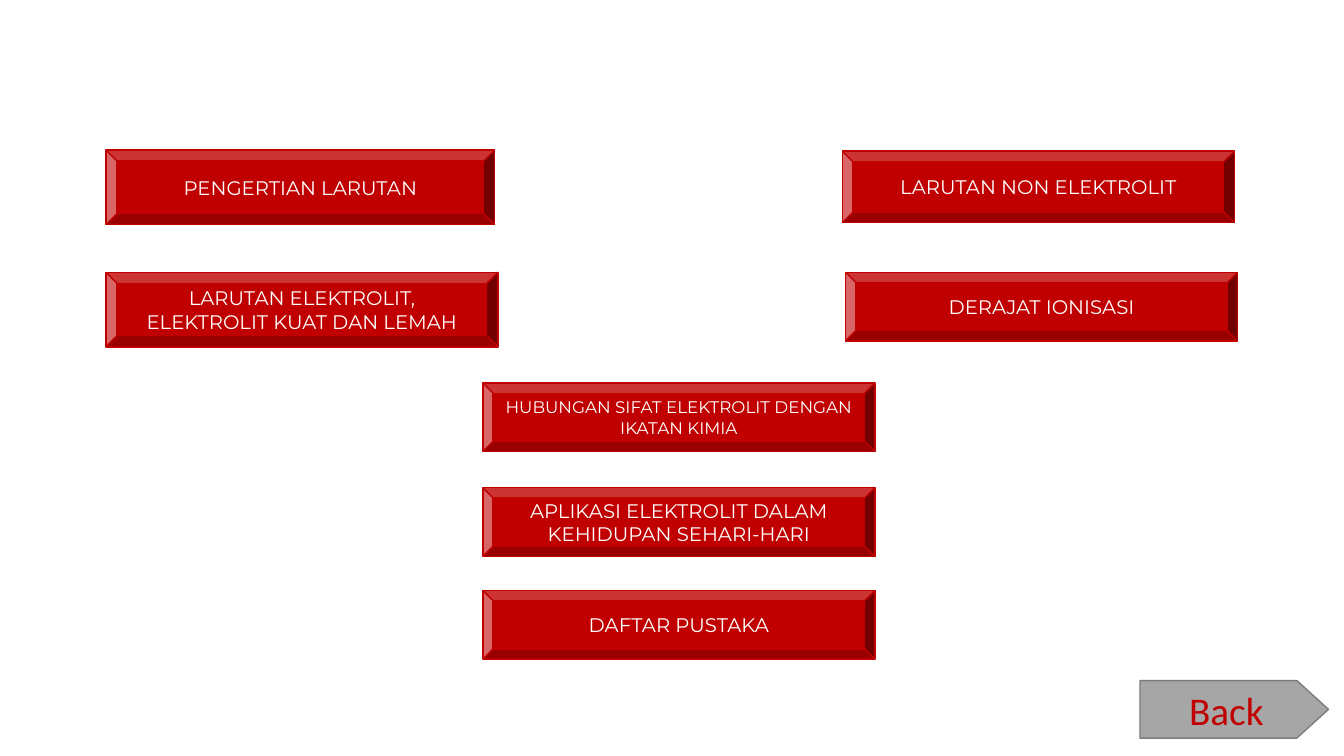
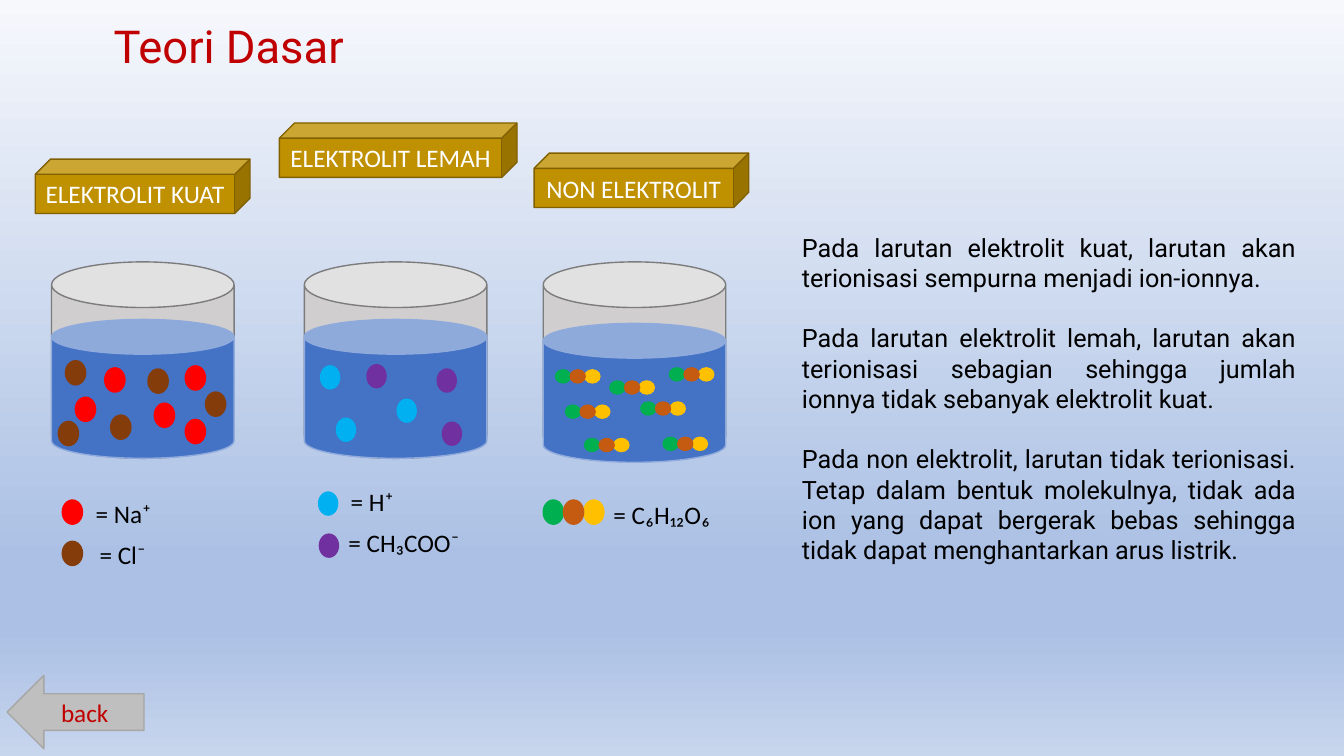
import copy

import pptx
import pptx.dml.color
import pptx.enum.shapes
import pptx.enum.text
import pptx.oxml.ns
import pptx.util

# Colours
RED = pptx.dml.color.RGBColor(0xC0, 0x00, 0x00)
WHITE = pptx.dml.color.RGBColor(0xFF, 0xFF, 0xFF)
BLACK = pptx.dml.color.RGBColor(0x00, 0x00, 0x00)
DARK = pptx.dml.color.RGBColor(0x7C, 0x7C, 0x7C)
GREY = pptx.dml.color.RGBColor(0xA6, 0xA6, 0xA6)
SILVER = pptx.dml.color.RGBColor(0xBF, 0xBF, 0xBF)
GLASS = pptx.dml.color.RGBColor(0xD0, 0xCE, 0xCE)
WATER = pptx.dml.color.RGBColor(0x44, 0x72, 0xC4)
RIM = pptx.dml.color.RGBColor(0x8F, 0xAA, 0xDC)
GOLD = pptx.dml.color.RGBColor(0xBF, 0x90, 0x00)
BRONZE = pptx.dml.color.RGBColor(0x80, 0x60, 0x00)
SCARLET = pptx.dml.color.RGBColor(0xFF, 0x00, 0x00)
BROWN = pptx.dml.color.RGBColor(0x84, 0x3C, 0x0B)
CYAN = pptx.dml.color.RGBColor(0x00, 0xB0, 0xF0)
PURPLE = pptx.dml.color.RGBColor(0x70, 0x30, 0xA0)
GREEN = pptx.dml.color.RGBColor(0x00, 0xB0, 0x50)
YELLOW = pptx.dml.color.RGBColor(0xFF, 0xC0, 0x00)
ORANGE = pptx.dml.color.RGBColor(0xC5, 0x5A, 0x11)
SKY = [
    (0, pptx.dml.color.RGBColor(0xF6, 0xF8, 0xFC)),
    (0.74, pptx.dml.color.RGBColor(0xAB, 0xC0, 0xE4)),
    (0.83, pptx.dml.color.RGBColor(0xAB, 0xC0, 0xE4)),
    (1, pptx.dml.color.RGBColor(0xC7, 0xD5, 0xED)),
]

# Fonts and alignment
SANS, HEAD, MENU = "Calibri", "Roboto", "Montserrat"
LEFT = pptx.enum.text.PP_ALIGN.LEFT
MID = pptx.enum.text.PP_ALIGN.CENTER
FULL = pptx.enum.text.PP_ALIGN.JUSTIFY


def draw(shapes, kind, box, fill, line, adjust=None):
    """Add a filled preset shape; box is left, top, width, height in cm."""
    shape = shapes.add_shape(kind, *[pptx.util.Cm(v) for v in box])
    shape.shadow.inherit = False
    shape.fill.solid()
    shape.fill.fore_color.rgb = fill
    shape.line.color.rgb = line
    shape.line.width = pptx.util.Pt(1)
    if adjust is not None:
        shape.adjustments[0] = adjust
    return shape


def write(shape, text, font, size, color, align=MID):
    """Fill a shape or text box with wrapped text in one style."""
    frame = shape.text_frame
    frame.word_wrap = True
    frame.text = text
    for para in frame.paragraphs:
        para.alignment = align
        for run in para.runs:
            run.font.name = font
            run.font.size = pptx.util.Pt(size)
            run.font.color.rgb = color
    return frame


deck = pptx.Presentation()
deck.slide_width = pptx.util.Cm(33.87)
deck.slide_height = pptx.util.Cm(19.05)
blank = deck.slide_layouts[6]

# Slide 1: menu buttons
shapes = deck.slides.add_slide(blank).shapes
kind = pptx.enum.shapes.MSO_SHAPE.BEVEL
for text, box, size in [
    ("PENGERTIAN LARUTAN", (2.67, 3.78, 9.8, 1.88), 14),
    ("LARUTAN ELEKTROLIT, ELEKTROLIT KUAT DAN LEMAH", (2.67, 6.86, 9.88, 1.88), 14),
    ("LARUTAN NON ELEKTROLIT", (21.23, 3.81, 9.88, 1.8), 14),
    ("DERAJAT IONISASI", (21.31, 6.86, 9.88, 1.73), 14),
    ("HUBUNGAN SIFAT ELEKTROLIT DENGAN IKATAN KIMIA", (12.17, 9.65, 9.88, 1.73), 12),
    ("APLIKASI ELEKTROLIT DALAM KEHIDUPAN SEHARI-HARI", (12.17, 12.29, 9.88, 1.73), 14),
    ("DAFTAR PUSTAKA", (12.17, 14.88, 9.88, 1.73), 14),
]:
    write(draw(shapes, kind, box, RED, RED, 0.15), text, MENU, size, WHITE)

kind = pptx.enum.shapes.MSO_SHAPE.PENTAGON
back = draw(shapes, kind, (28.73, 17.15, 4.75, 1.45), GREY, DARK, 0.55)
write(back, "Back", SANS, 28, RED)

# Slide 2: background
slide = deck.slides.add_slide(blank)
shapes = slide.shapes
fill = slide.background.fill
fill.gradient()
fill.gradient_angle = 270
stops = slide.element.find(".//" + pptx.oxml.ns.qn("a:gsLst"))
for _ in range(len(SKY) - len(stops)):
    stops.append(copy.deepcopy(stops[0]))
for stop, (place, color) in zip(fill.gradient_stops, SKY):
    stop.position = place
    stop.color.rgb = color

# Title
title = shapes.add_textbox(*[pptx.util.Cm(v) for v in (1.42, 0.3, 8.69, 1.7)])
write(title, "Teori Dasar", HEAD, 32.4, RED)
title.text_frame.vertical_anchor = pptx.enum.text.MSO_ANCHOR.MIDDLE

# Beakers with their signs
can = pptx.enum.shapes.MSO_SHAPE.CAN
cube = pptx.enum.shapes.MSO_SHAPE.CUBE
for text, sign, left, level in [
    ("ELEKTROLIT KUAT", (0.89, 4.01, 5.41, 1.37), 1.3, 8.05),
    ("ELEKTROLIT LEMAH", (7.04, 3.1, 5.99, 1.37), 7.67, 8.05),
    ("NON ELEKTROLIT", (13.46, 3.86, 5.41, 1.37), 13.69, 8.15),
]:
    draw(shapes, can, (left, 6.6, 4.6, 4.95), GLASS, DARK)
    draw(shapes, can, (left, level, 4.6, 3.5), WATER, RIM)
    frame = write(draw(shapes, cube, sign, GOLD, BRONZE, 0.28), text, SANS, 18, WHITE)
    frame.margin_left = frame.margin_right = 0

# Ions: the first spot of each is its legend key
dot = pptx.enum.shapes.MSO_SHAPE.FLOWCHART_CONNECTOR
for color, wide, high, spots in [
    (SCARLET, 0.51, 0.61, [(1.57, 12.6), (1.9, 10.01), (4.67, 10.57),
                           (4.67, 9.22), (3.89, 10.16), (2.64, 9.27)]),
    (BROWN, 0.51, 0.61, [(1.57, 13.64), (1.65, 9.09), (5.18, 9.88),
                         (2.79, 10.46), (1.47, 10.62), (3.73, 9.3)]),
    (CYAN, 0.48, 0.58, [(8.03, 12.4), (8.08, 9.22), (10.01, 10.06), (8.48, 10.54)]),
    (PURPLE, 0.48, 0.58, [(8.05, 13.46), (9.25, 9.19), (11.02, 9.3), (11.15, 10.64)]),
]:
    for left, top in spots:
        draw(shapes, dot, (left, top, wide, high), color, color)

# Molecules: three beads each, the first is the legend key
for left, top, wide, high, step in [(13.69, 12.6, 0.51, 0.61, 0.51)] + [
    (x, y, 0.38, 0.33, 0.37)
    for x, y in [(14.25, 10.21), (15.37, 9.6), (16.87, 9.27), (14.73, 11.05),
                 (14, 9.32), (16.15, 10.13), (16.71, 11.02)]
]:
    group = shapes.add_group_shape()
    for i, color in [(0, GREEN), (2, YELLOW), (1, ORANGE)]:
        draw(group.shapes, dot, (left + i * step, top, wide, high), color, color)

# Legend labels
for text, left, top in [
    ("= Na⁺", 2.16, 12.42),
    ("= Cl⁻", 2.26, 13.46),
    ("= H⁺", 8.59, 12.12),
    ("= CH₃COO⁻", 8.53, 13.16),
    ("= C₆H₁₂O₆", 15.21, 12.47),
]:
    label = shapes.add_textbox(*[pptx.util.Cm(v) for v in (left, top, 4.2, 1.02)])
    write(label, text, SANS, 18, BLACK, LEFT)

# Explanation
body = shapes.add_textbox(*[pptx.util.Cm(v) for v in (19.96, 5.72, 12.95, 8.71)])
frame = write(
    body,
    "Pada larutan elektrolit kuat, larutan akan terionisasi sempurna menjadi "
    "ion-ionnya.\n"
    "Pada larutan elektrolit lemah, larutan akan terionisasi sebagian sehingga "
    "jumlah ionnya tidak sebanyak elektrolit kuat.\n"
    "Pada non elektrolit, larutan tidak terionisasi. Tetap dalam bentuk "
    "molekulnya, tidak ada ion yang dapat bergerak bebas sehingga tidak dapat "
    "menghantarkan arus listrik.",
    HEAD, 18, BLACK, FULL,
)
for para in frame.paragraphs[:-1]:
    para.space_after = pptx.util.Pt(21.6)

# Back arrow
kind = pptx.enum.shapes.MSO_SHAPE.LEFT_ARROW
back = draw(shapes, kind, (0.18, 17.02, 3.45, 1.85), SILVER, GREY)
write(back, "back", SANS, 18, RED)

deck.save("out.pptx")
